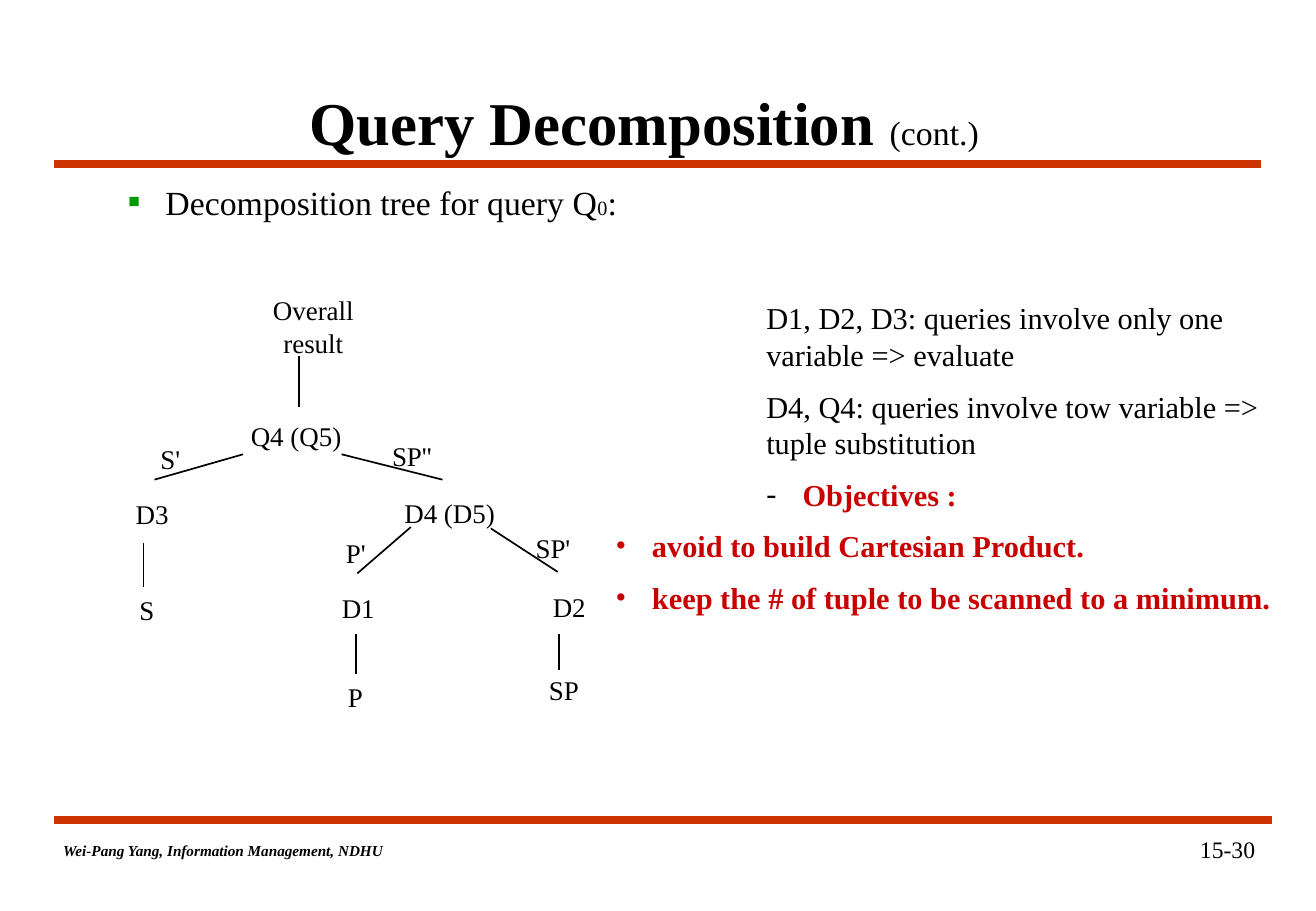
from lxml import etree
from pptx import Presentation
from pptx.dml.color import RGBColor
from pptx.enum.shapes import MSO_CONNECTOR
from pptx.enum.text import MSO_ANCHOR, MSO_AUTO_SIZE, PP_ALIGN
from pptx.oxml.ns import qn
from pptx.util import Cm, Pt

LEFT, CENTER, RIGHT = PP_ALIGN.LEFT, PP_ALIGN.CENTER, PP_ALIGN.RIGHT
MIDDLE = MSO_ANCHOR.MIDDLE
FIT_TEXT = MSO_AUTO_SIZE.SHAPE_TO_FIT_TEXT
STRAIGHT = MSO_CONNECTOR.STRAIGHT
BLACK = RGBColor(0x00, 0x00, 0x00)
ORANGE = RGBColor(0xCC, 0x33, 0x00)
GREEN = RGBColor(0x00, 0x99, 0x00)
RED = RGBColor(0xC8, 0x00, 0x00)
FONT = "Times New Roman"

TITLE = [("Query Decomposition ", {"size": 36, "bold": True}), ("(cont.)", {"size": 20})]
HEADING = [("Decomposition tree for query Q", {}), ("0", {"size": 12}), (":", {})]
FOOTER = "Wei-Pang Yang, Information Management, NDHU"
PAGE = "15-30"

# text, centre x, top, width (cm)
TREE_LABELS = [
    ("Overall\nresult", 6.55, 6.02, 2.3),
    ("Q4 (Q5)", 6.19, 8.64, 2.5),
    ("S'", 3.56, 9.14, 1),
    ("SP''", 8.61, 9.07, 1.45),
    ("D3", 3.18, 10.29, 1.3),
    ("D4 (D5)", 9.4, 10.26, 2.5),
    ("P'", 7.44, 11.1, 1),
    ("SP'", 11.56, 11, 1.35),
    ("S", 3.07, 12.29, 0.95),
    ("D1", 7.49, 12.24, 1.3),
    ("D2", 11.9, 12.22, 1.3),
    ("P", 7.43, 14.1, 0.95),
    ("SP", 11.79, 13.97, 1.25),
]
# start x, start y, end x, end y (cm)
BRANCHES = [
    (6.25, 7.44, 6.25, 8.51),
    (5.08, 9.5, 3.23, 10.03),
    (7.14, 9.5, 9.25, 10.03),
    (3, 11.35, 3, 12.27),
    (8.59, 11.02, 7.47, 11.99),
    (10.26, 11.05, 11.66, 11.96),
    (7.44, 13.26, 7.44, 14.1),
    (11.68, 13.26, 11.68, 14.02),
]
RULES = [(1.14, 3.43, 26.37, 3.43), (1.14, 17.15, 26.59, 17.15)]

# text, left margin (cm), bullet, bullet colour, text format
NOTES = [
    ("D1, D2, D3: queries involve only one variable => evaluate", 3.81, None, None, {}),
    ("D4, Q4: queries involve tow variable => tuple substitution", 3.81, None, None, {}),
    ("Objectives :", 4.57, "-", BLACK, {"color": RED, "bold": True}),
    ("avoid to build Cartesian Product.", 1.42, "•", RED, {"color": RED, "bold": True}),
    ("keep the # of tuple to be scanned to a minimum.", 1.42, "•", RED,
     {"color": RED, "bold": True}),
]
BULLET_HANG = 0.76


def add_text(paragraph, text, size=16, color=BLACK, bold=False, italic=False, align=LEFT):
    paragraph.alignment = align
    run = paragraph.add_run()
    run.text = text
    run.font.name = FONT
    run.font.size = Pt(size)
    run.font.color.rgb = color
    run.font.bold = bold
    run.font.italic = italic


def add_box(left, top, width, height):
    frame = slide.shapes.add_textbox(Cm(left), Cm(top), Cm(width), Cm(height)).text_frame
    frame.word_wrap = True
    return frame


def indent(paragraph, margin, bullet=None, color=BLACK, hang=BULLET_HANG, percent=100):
    props = paragraph._p.get_or_add_pPr()
    props.set("marL", str(Cm(margin)))
    if bullet:
        props.set("indent", str(-Cm(hang)))
        bullet_color = etree.SubElement(props, qn("a:buClr"))
        etree.SubElement(bullet_color, qn("a:srgbClr"), val=str(color))
        etree.SubElement(props, qn("a:buSzPct"), val=str(percent * 1000))
        etree.SubElement(props, qn("a:buFont"), typeface=FONT)
        etree.SubElement(props, qn("a:buChar"), char=bullet)


def add_line(ends, color, width):
    line = slide.shapes.add_connector(STRAIGHT, *(Cm(value) for value in ends))
    line.line.color.rgb = color
    line.line.width = Pt(width)
    etree.SubElement(line._element.spPr, qn("a:effectLst"))


prs = Presentation()
prs.slide_width, prs.slide_height = Cm(27.51), Cm(19.05)
slide = prs.slides.add_slide(prs.slide_layouts[5])

for rule in RULES:
    add_line(rule, ORANGE, 4.5)
add_text(add_box(1.07, 17.46, 8.2, 0.64).paragraphs[0], FOOTER, size=9, bold=True, italic=True)
add_text(add_box(20.75, 17.34, 5.74, 1.27).paragraphs[0], PAGE, size=14, align=RIGHT)

title = slide.shapes.title
title.left, title.top, title.width, title.height = Cm(2.11), Cm(1.47), Cm(22.71), Cm(2.11)
title.text_frame.vertical_anchor = MIDDLE
for text, style in TITLE:
    add_text(title.text_frame.paragraphs[0], text, align=CENTER, **style)

heading = add_box(1.15, 3.83, 25.22, 1.2).paragraphs[0]
indent(heading, 2.06, "▪", GREEN, hang=0.79, percent=110)
heading.line_spacing = 0.8
for text, style in HEADING:
    add_text(heading, text, **{"size": 20, **style})

for branch in BRANCHES:
    add_line(branch, BLACK, 1)
for label, center, top, width in TREE_LABELS:
    lines = label.split("\n")
    frame = add_box(center - width / 2, top, width, 0.25 + 0.67 * len(lines))
    frame.word_wrap = False
    frame.auto_size = FIT_TEXT
    for number, text in enumerate(lines):
        paragraph = frame.add_paragraph() if number else frame.paragraphs[0]
        add_text(paragraph, text, align=CENTER)

notes = add_box(11.96, 6.14, 15.54, 5.33)
for number, (text, margin, bullet, bullet_color, style) in enumerate(NOTES):
    paragraph = notes.add_paragraph() if number else notes.paragraphs[0]
    indent(paragraph, margin, bullet, bullet_color)
    if number:
        paragraph.space_before = Pt(9)
    add_text(paragraph, text, size=18, **style)

prs.save("out.pptx")
